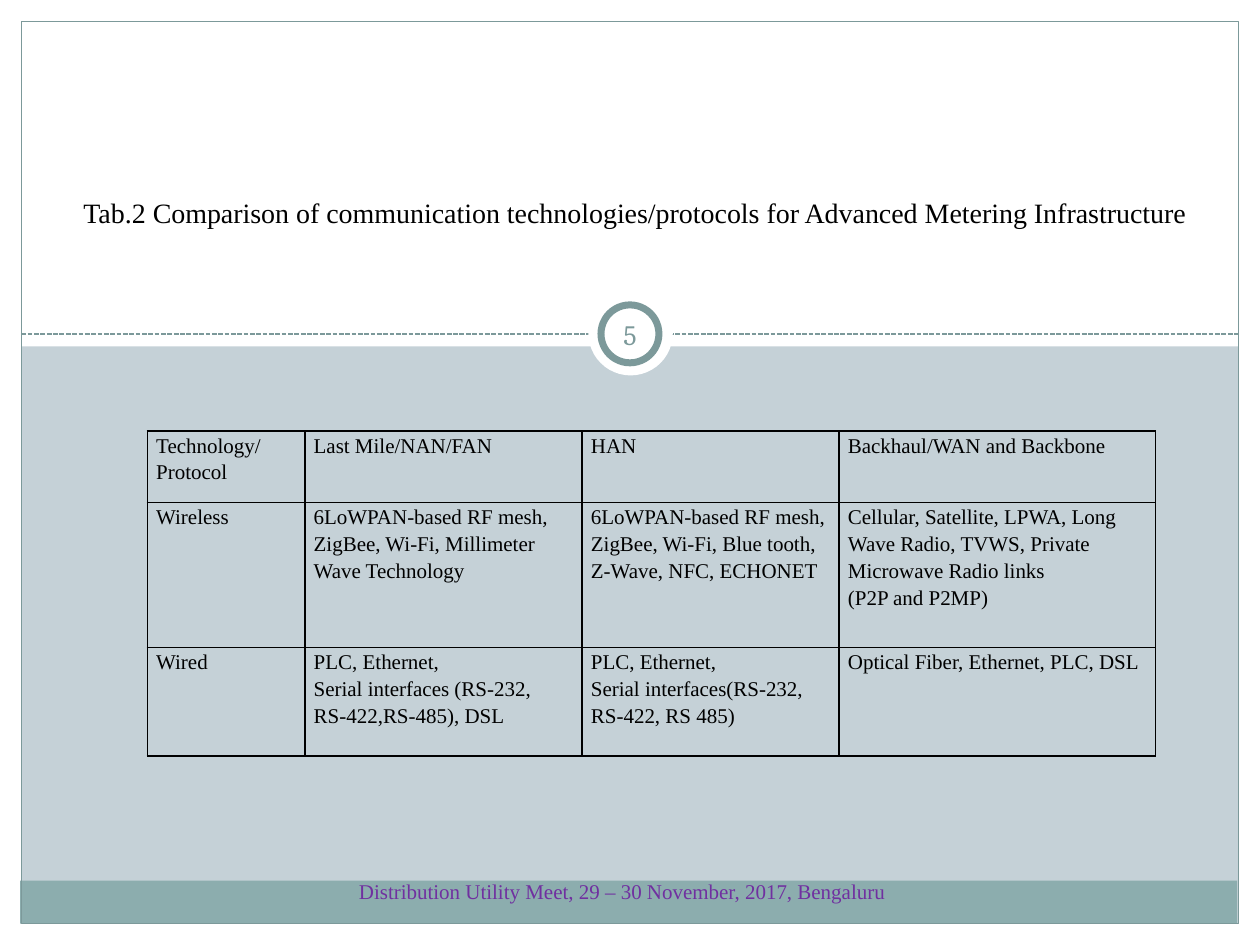
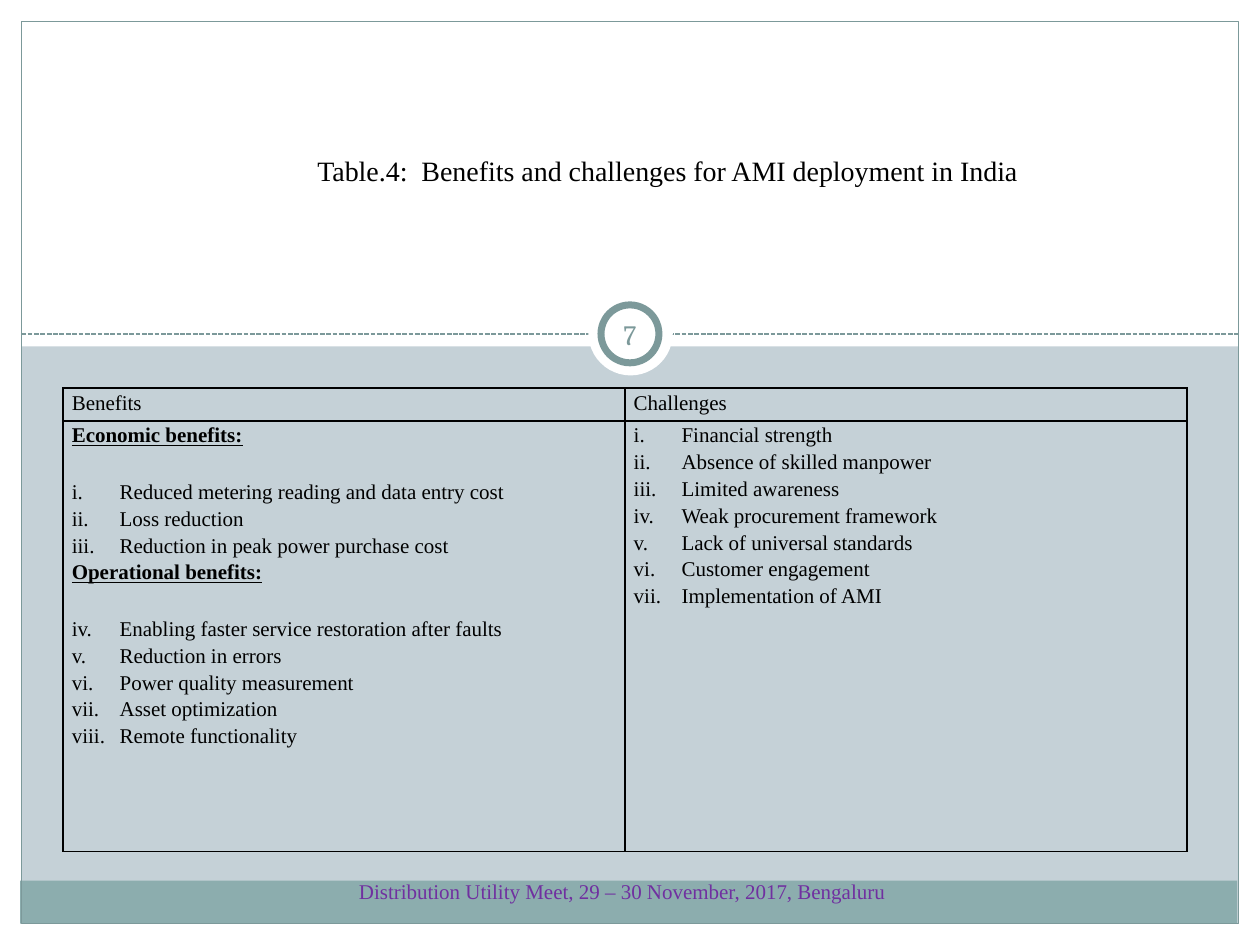
from dataclasses import dataclass
from typing import Optional

import lxml.etree
import pptx
import pptx.dml.color
import pptx.enum.dml
import pptx.enum.shapes
import pptx.enum.text
import pptx.oxml.ns
import pptx.util

Inches = pptx.util.Inches
Pt = pptx.util.Pt
RGBColor = pptx.dml.color.RGBColor
Shape = pptx.enum.shapes.MSO_SHAPE
Anchor = pptx.enum.text.MSO_ANCHOR
Align = pptx.enum.text.PP_ALIGN
qn = pptx.oxml.ns.qn

BLACK = RGBColor(0x00, 0x00, 0x00)
WHITE = RGBColor(0xFF, 0xFF, 0xFF)
PALE_BLUE = RGBColor(0xC5, 0xD1, 0xD7)
TEAL = RGBColor(0x8C, 0xAD, 0xAE)
DARK_TEAL = RGBColor(0x7C, 0x99, 0x9A)
PURPLE = RGBColor(0x70, 0x30, 0xA0)

BODY_FONT = "Times New Roman"
NUMBER_FONT = "Cambria"
FOOTER = "Distribution Utility Meet, 29 – 30 November, 2017, Bengaluru"


@dataclass(frozen=True)
class Area:
    left: float
    top: float
    width: float
    height: float

    def lengths(self) -> tuple:
        return tuple(Inches(v) for v in (self.left, self.top, self.width, self.height))


@dataclass(frozen=True)
class Panel:
    area: Area
    fill: Optional[RGBColor] = WHITE
    line: Optional[RGBColor] = None
    line_width: float = 0
    kind: int = Shape.RECTANGLE


@dataclass(frozen=True)
class Label:
    area: Area
    text: str
    size: float = 16
    font: str = BODY_FONT
    color: RGBColor = BLACK
    align: int = Align.LEFT
    anchor: int = Anchor.TOP
    inset: Optional[float] = None


@dataclass(frozen=True)
class Line:
    """One paragraph of a table cell."""
    text: str
    heading: bool = False
    number_from: Optional[int] = None


@dataclass(frozen=True)
class Grid:
    left: float
    top: float
    columns: list[float]
    rows: list[float]
    cells: list[list[list[Line]]]


@dataclass(frozen=True)
class Page:
    number: int
    title: Label
    grid: Grid


BANDS = [
    Panel(Area(0, 7.33, 10, 0.17)),
    Panel(Area(9.83, 0, 0.17, 7.5)),
    Panel(Area(0, 0, 0.17, 7.5)),
    Panel(Area(0, 0, 10, 2.75)),
    Panel(Area(0.16, 6.99, 9.66, 0.34), TEAL),
]
FRAME_AND_BADGE = [
    Panel(Area(0.17, 0.17, 9.66, 7.16), None, DARK_TEAL, 0.75),
    Panel(Area(4.67, 2.31, 0.67, 0.67), kind=Shape.OVAL),
    Panel(Area(4.77, 2.42, 0.46, 0.46), WHITE, DARK_TEAL, 4, Shape.OVAL),
]


def plain(*texts: str) -> list[Line]:
    return [Line(text) for text in texts]


def numbered(start: int, *texts: str) -> list[Line]:
    return [Line(text, number_from=start) for text in texts]


PAGES = [
    Page(
        5,
        Label(
            Area(0.5, 1.5, 9.08, 0.5),
            "Tab.2 Comparison of communication technologies/protocols "
            "for Advanced Metering Infrastructure",
            align=Align.CENTER,
        ),
        Grid(1.17, 3.42, [1.25, 2.2, 2.04, 2.51], [0.57, 1.15, 0.86], [
            [
                plain("Technology/Protocol"),
                plain("Last Mile/NAN/FAN"),
                plain("HAN"),
                plain("Backhaul/WAN and Backbone"),
            ],
            [
                plain("Wireless"),
                plain("6LoWPAN-based RF mesh, ZigBee, Wi-Fi, Millimeter Wave Technology"),
                plain("6LoWPAN-based RF mesh, ZigBee, Wi-Fi, Blue tooth, "
                      "Z-Wave, NFC, ECHONET"),
                plain("Cellular, Satellite, LPWA, Long Wave Radio, TVWS, "
                      "Private Microwave Radio links", "(P2P and P2MP)"),
            ],
            [
                plain("Wired"),
                plain("PLC, Ethernet,", "Serial interfaces (RS-232, RS-422,RS-485), DSL"),
                plain("PLC, Ethernet,", "Serial interfaces(RS-232, RS-422, RS 485)"),
                plain("Optical Fiber, Ethernet, PLC, DSL"),
            ],
        ]),
    ),
    Page(
        7,
        Label(
            Area(2.42, 1.17, 5.83, 0.37),
            "Table.4:  Benefits and challenges for AMI deployment in India",
            anchor=Anchor.MIDDLE,
        ),
        Grid(0.5, 3.08, [4.46, 4.46], [0.26, 3.42], [
            [plain("Benefits"), plain("Challenges")],
            [
                [
                    Line("Economic benefits:", heading=True),
                    *numbered(1, "Reduced metering reading and data entry cost",
                              "Loss reduction", "Reduction in peak power purchase cost"),
                    Line("Operational benefits:", heading=True),
                    *numbered(4, "Enabling faster service restoration after faults",
                              "Reduction in errors", "Power quality measurement",
                              "Asset optimization", "Remote functionality"),
                ],
                numbered(1, "Financial strength", "Absence of skilled manpower",
                         "Limited awareness", "Weak procurement framework",
                         "Lack of universal standards", "Customer engagement",
                         "Implementation of AMI"),
            ],
        ]),
    ),
]


def style_text(paragraph, font: str, size: float, color: RGBColor) -> None:
    for span in paragraph.runs:
        span.font.name = font
        span.font.size = Pt(size)
        span.font.color.rgb = color


def draw_panel(page, panel: Panel) -> None:
    shape = page.shapes.add_shape(panel.kind, *panel.area.lengths())
    shape.shadow.inherit = False
    if panel.fill is None:
        shape.fill.background()
    else:
        shape.fill.solid()
        shape.fill.fore_color.rgb = panel.fill
    if panel.line is None:
        shape.line.fill.background()
    else:
        shape.line.color.rgb = panel.line
        shape.line.width = Pt(panel.line_width)


def draw_divider(page) -> None:
    divider = page.shapes.add_connector(
        pptx.enum.shapes.MSO_CONNECTOR.STRAIGHT,
        Inches(0.17), Inches(2.65), Inches(9.83), Inches(2.65),
    )
    divider.line.color.rgb = DARK_TEAL
    divider.line.width = Pt(0.9)
    divider.line.dash_style = pptx.enum.dml.MSO_LINE.SQUARE_DOT
    lxml.etree.SubElement(divider._element.spPr, qn("a:effectLst"))


def draw_label(page, label: Label) -> None:
    box = page.shapes.add_textbox(*label.area.lengths())
    frame = box.text_frame
    frame.word_wrap = True
    frame.vertical_anchor = label.anchor
    if label.inset is not None:
        frame.margin_left = frame.margin_right = Inches(label.inset)
        frame.margin_top = frame.margin_bottom = Inches(label.inset)
    frame.text = label.text
    para = frame.paragraphs[0]
    para.alignment = label.align
    style_text(para, label.font, label.size, label.color)


def add_roman_number(para, start: int) -> None:
    properties = para._p.get_or_add_pPr()
    properties.set("marL", str(Inches(0.38)))
    properties.set("indent", str(-Inches(0.38)))
    lxml.etree.SubElement(properties, qn("a:buAutoNum"),
                          type="romanLcPeriod", startAt=str(start))


def add_borders(cell) -> None:
    properties = cell._tc.get_or_add_tcPr()
    for side in ("lnL", "lnR", "lnT", "lnB"):
        border = lxml.etree.SubElement(properties, qn(f"a:{side}"), w=str(Pt(1)))
        fill = lxml.etree.SubElement(border, qn("a:solidFill"))
        lxml.etree.SubElement(fill, qn("a:srgbClr"), val=str(BLACK))


def fill_cell(cell, lines: list[Line]) -> None:
    add_borders(cell)
    cell.fill.background()
    cell.margin_left = cell.margin_right = Inches(0.07)
    cell.margin_top = cell.margin_bottom = Inches(0)
    cell.text_frame.text = "\n".join(line.text for line in lines)
    for para, line in zip(cell.text_frame.paragraphs, lines):
        para.line_spacing = 1.15
        style_text(para, BODY_FONT, 12, BLACK)
        if line.heading:
            para.space_after = Pt(17)
            para.runs[0].font.bold = True
            para.runs[0].font.underline = True
        if line.number_from is not None:
            add_roman_number(para, line.number_from)


def draw_grid(page, grid: Grid) -> None:
    area = Area(grid.left, grid.top, sum(grid.columns), sum(grid.rows))
    table = page.shapes.add_table(
        len(grid.rows), len(grid.columns), *area.lengths()).table
    table.first_row = False
    table.horz_banding = False
    for column, width in zip(table.columns, grid.columns):
        column.width = Inches(width)
    for row, height, contents in zip(table.rows, grid.rows, grid.cells):
        row.height = Inches(height)
        for cell, lines in zip(row.cells, contents):
            fill_cell(cell, lines)


def draw_page(deck, content: Page) -> None:
    page = deck.slides.add_slide(deck.slide_layouts[6])
    page.background.fill.solid()
    page.background.fill.fore_color.rgb = PALE_BLUE

    # Shared bands, divider, frame and number badge
    for band in BANDS:
        draw_panel(page, band)
    draw_divider(page)
    for panel in FRAME_AND_BADGE:
        draw_panel(page, panel)

    # Title and table
    draw_label(page, content.title)
    draw_grid(page, content.grid)

    # Page number and footer
    draw_label(page, Label(Area(4.75, 2.41, 0.5, 0.48), str(content.number),
                           font=NUMBER_FONT, color=DARK_TEAL, align=Align.CENTER,
                           anchor=Anchor.MIDDLE, inset=0.05))
    draw_label(page, Label(Area(2.75, 6.92, 4.58, 0.4), FOOTER, size=12, color=PURPLE))


def main() -> None:
    deck = pptx.Presentation()
    deck.slide_width = Inches(10)
    deck.slide_height = Inches(7.5)
    for content in PAGES:
        draw_page(deck, content)
    deck.save("out.pptx")


if __name__ == "__main__":
    main()
